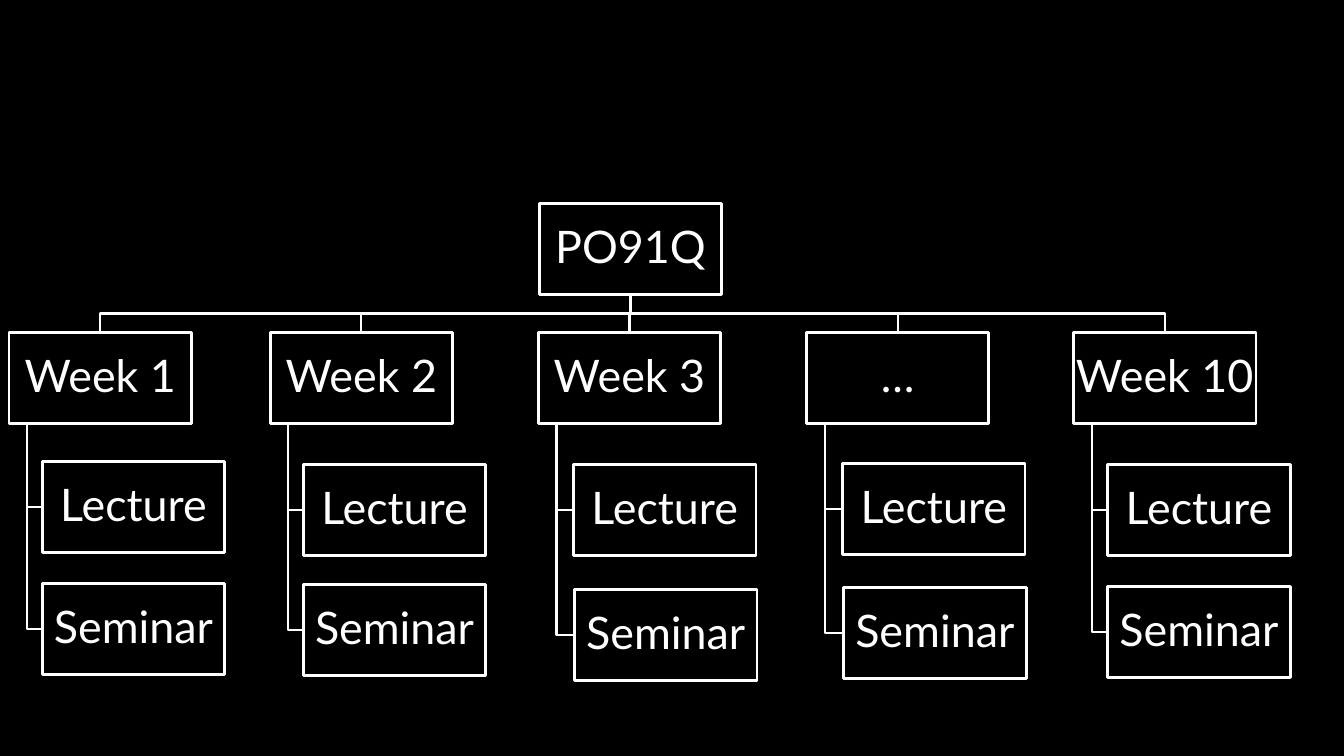
"""Builds the PO91Q module chart: five weeks, each with a lecture and a seminar."""

from typing import NamedTuple

import pptx
import pptx.dml.color
import pptx.enum.shapes
import pptx.enum.text
import pptx.shapes.autoshape
import pptx.slide
import pptx.util

BLACK = pptx.dml.color.RGBColor(0x00, 0x00, 0x00)
WHITE = pptx.dml.color.RGBColor(0xFF, 0xFF, 0xFF)

CELL = pptx.util.Inches(0.1)
SLIDE_COLUMNS, SLIDE_ROWS = 133.33, 75
BOX_COLUMNS, BOX_ROWS = 18.1, 9
STEM_INDENT = BOX_COLUMNS / 10
ROOT_ROW, WEEK_ROW = 20.2, 33
ROOT_COLUMN = 53.5


class Point(NamedTuple):
    """A place on the grid."""

    column: float
    row: float


class Box(NamedTuple):
    """A labelled box, placed by its top left corner."""

    label: str
    column: float
    row: float

    @property
    def top(self) -> Point:
        """Return the middle of the top edge."""
        return Point(self.column + BOX_COLUMNS / 2, self.row)

    @property
    def bottom(self) -> Point:
        """Return the middle of the bottom edge."""
        return Point(self.column + BOX_COLUMNS / 2, self.row + BOX_ROWS)

    @property
    def left(self) -> Point:
        """Return the middle of the left edge."""
        return Point(self.column, self.row + BOX_ROWS / 2)


class Week(NamedTuple):
    """A week with the sessions below it."""

    box: Box
    sessions: tuple[Box, Box]


def make_week(label: str, column: float, lecture: Point, seminar: Point) -> Week:
    """Return a week and its two sessions."""
    return Week(Box(label, column, WEEK_ROW), (Box("Lecture", *lecture), Box("Seminar", *seminar)))


ROOT = Box("PO91Q", ROOT_COLUMN, ROOT_ROW)
WEEKS = (
    make_week("Week 1", 0.9, Point(4.2, 45.8), Point(4.2, 57.9)),
    make_week("Week 2", 26.8, Point(30.1, 46.1), Point(30.1, 58)),
    make_week("Week 3", 53.4, Point(56.9, 46.1), Point(57, 58.5)),
    make_week("…", 80, Point(83.6, 46), Point(83.7, 58.3)),
    make_week("Week 10", 106.5, Point(109.9, 46.1), Point(109.9, 58.2)),
)


def cells(count: float) -> pptx.util.Emu:
    """Return the length of a number of grid cells."""
    return pptx.util.Emu(round(count * CELL))


def outline(shape: pptx.shapes.autoshape.Shape, points: float) -> None:
    """Leave a shape with a plain white line only."""
    shape.shadow.inherit = False
    shape.fill.background()
    shape.line.color.rgb = WHITE
    shape.line.width = pptx.util.Pt(points)


def draw_link(slide: pptx.slide.Slide, *points: Point) -> None:
    """Draw an open line through the points."""
    start, *corners = [(cells(point.column), cells(point.row)) for point in points]
    builder = slide.shapes.build_freeform(*start)
    builder.add_line_segments(corners, close=False)
    outline(builder.convert_to_shape(), 1.5)


def draw_box(slide: pptx.slide.Slide, box: Box) -> None:
    """Draw a box with its centred label."""
    shape = slide.shapes.add_shape(
        pptx.enum.shapes.MSO_SHAPE.RECTANGLE,
        cells(box.column), cells(box.row), cells(BOX_COLUMNS), cells(BOX_ROWS),
    )
    outline(shape, 2)
    frame = shape.text_frame
    frame.text = box.label
    frame.word_wrap = False
    frame.vertical_anchor = pptx.enum.text.MSO_ANCHOR.MIDDLE
    frame.margin_left = frame.margin_right = cells(0.2)
    frame.margin_top = frame.margin_bottom = cells(0.2)
    paragraph = frame.paragraphs[0]
    paragraph.alignment = pptx.enum.text.PP_ALIGN.CENTER
    paragraph.line_spacing = 0.9
    font = paragraph.runs[0].font
    font.name = "Lato"
    font.size = pptx.util.Pt(32)
    font.color.rgb = WHITE


def draw_week_links(slide: pptx.slide.Slide, week: Week) -> None:
    """Link a week to the root and to its sessions."""
    start, end = ROOT.bottom, week.box.top
    middle = (start.row + end.row) / 2
    draw_link(slide, start, Point(start.column, middle), Point(end.column, middle), end)
    stem = week.box.column + STEM_INDENT
    for session in week.sessions:
        foot = Point(stem, session.left.row)
        draw_link(slide, Point(stem, week.box.bottom.row), foot, session.left)


def main() -> None:
    """Build and save the slide."""
    presentation = pptx.Presentation()
    presentation.slide_width = cells(SLIDE_COLUMNS)
    presentation.slide_height = cells(SLIDE_ROWS)
    slide = presentation.slides.add_slide(presentation.slide_layouts.get_by_name("Blank"))
    slide.background.fill.solid()
    slide.background.fill.fore_color.rgb = BLACK
    for week in WEEKS:
        draw_week_links(slide, week)
    draw_box(slide, ROOT)
    for week in WEEKS:
        for box in (week.box, *week.sessions):
            draw_box(slide, box)
    presentation.save("out.pptx")


if __name__ == "__main__":
    main()
